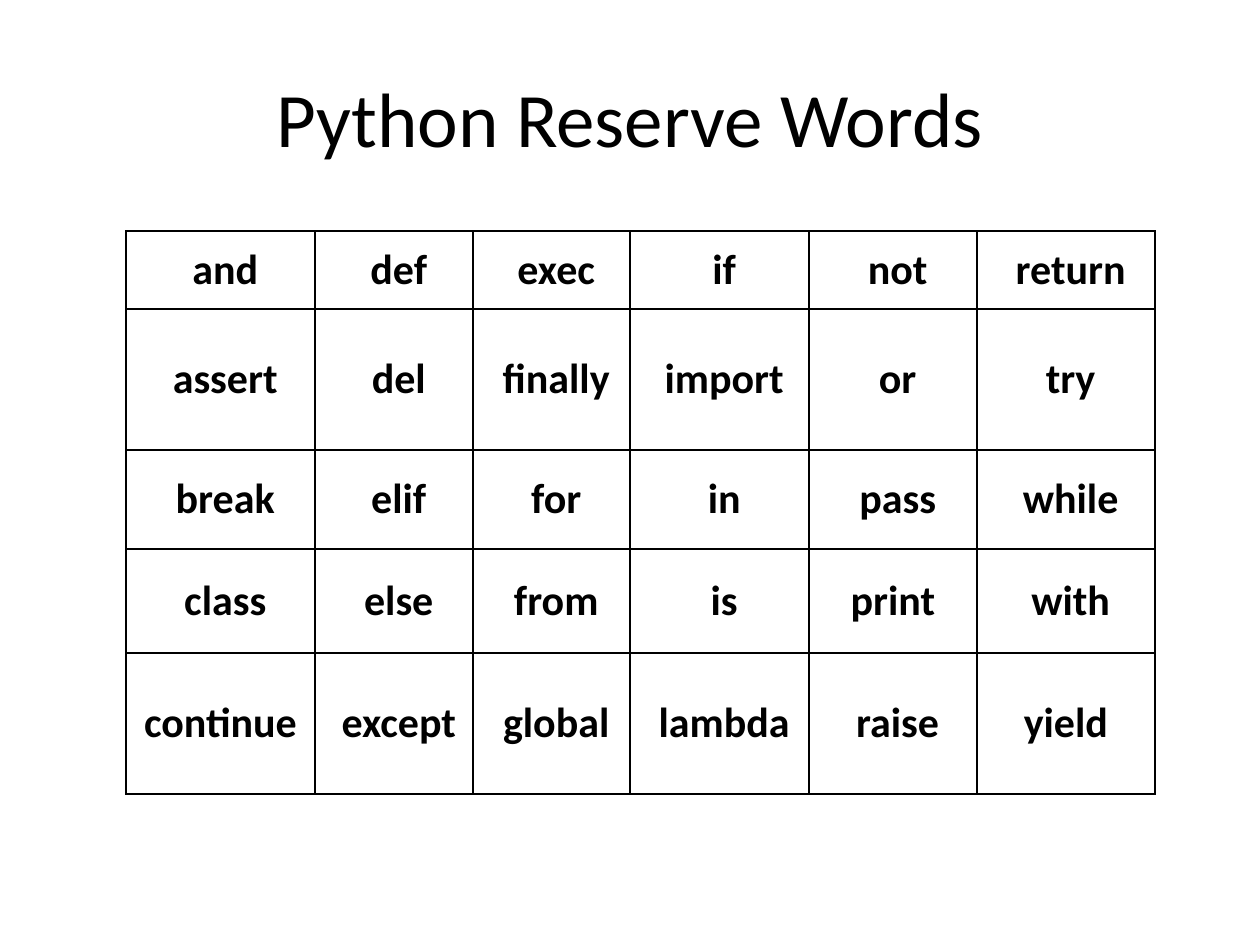
from lxml.etree import SubElement
from pptx import Presentation
from pptx.dml.color import RGBColor
from pptx.enum.text import MSO_ANCHOR, PP_ALIGN
from pptx.oxml.ns import qn
from pptx.util import Emu, Pt

PX_PER_INCH = 126
FONT = "Calibri"
COLORS = {"text": "000000", "border": "000000"}

COL_WIDTHS = [189, 158, 157, 179, 168, 178]
ROW_HEIGHTS = [78, 141, 99, 104, 141]
WORDS = [
    [" and", " def", " exec", " if", " not", " return"],
    [" assert", " del", " finally", " import", " or", " try"],
    [" break", " elif", " for", " in", " pass", " while"],
    [" class", " else", " from", " is", "print", " with"],
    ["continue", " except", " global", " lambda", " raise", "yield"],
]


def px(n):
    return Emu(round(n * 914400 / PX_PER_INCH))


def write_centered(tf, text, size, bold=False):
    p = tf.paragraphs[0]
    p.alignment = PP_ALIGN.CENTER
    r = p.add_run()
    r.text = text
    r.font.name = FONT
    r.font.size = Pt(size)
    r.font.bold = bold
    r.font.color.rgb = RGBColor.from_string(COLORS["text"])


def add_title(s, text, x, y, w, h):
    tf = s.shapes.add_textbox(px(x), px(y), px(w), px(h)).text_frame
    tf.word_wrap = True
    tf.vertical_anchor = MSO_ANCHOR.MIDDLE
    write_centered(tf, text, 44)


def set_borders(cell, width):
    tc_pr = cell._tc.get_or_add_tcPr()
    for i, side in enumerate(("lnL", "lnR", "lnT", "lnB")):
        ln = SubElement(tc_pr, qn(f"a:{side}"), w=str(Pt(width)))
        fill = SubElement(ln, qn("a:solidFill"))
        SubElement(fill, qn("a:srgbClr"), val=COLORS["border"])
        tc_pr.insert(i, ln)  # borders come before the fill


def add_word_table(s, x, y):
    table = s.shapes.add_table(
        len(ROW_HEIGHTS), len(COL_WIDTHS), px(x), px(y),
        px(sum(COL_WIDTHS)), px(sum(ROW_HEIGHTS))).table
    table.first_row = table.horz_banding = False
    for column, width in zip(table.columns, COL_WIDTHS):
        column.width = px(width)
    for row, height, words in zip(table.rows, ROW_HEIGHTS, WORDS):
        row.height = px(height)
        for cell, word in zip(row.cells, words):
            cell.fill.background()
            cell.vertical_anchor = MSO_ANCHOR.MIDDLE
            set_borders(cell, 1)
            write_centered(cell.text_frame, word, 24, bold=True)


def main():
    prs = Presentation()
    prs.slide_width, prs.slide_height = px(1260), px(945)
    s = prs.slides.add_slide(prs.slide_layouts[6])

    # Title
    add_title(s, "Python Reserve Words", 63, 38, 1134, 157)
    # Table of reserved words
    add_word_table(s, 126, 231)

    prs.save("out.pptx")


if __name__ == "__main__":
    main()
